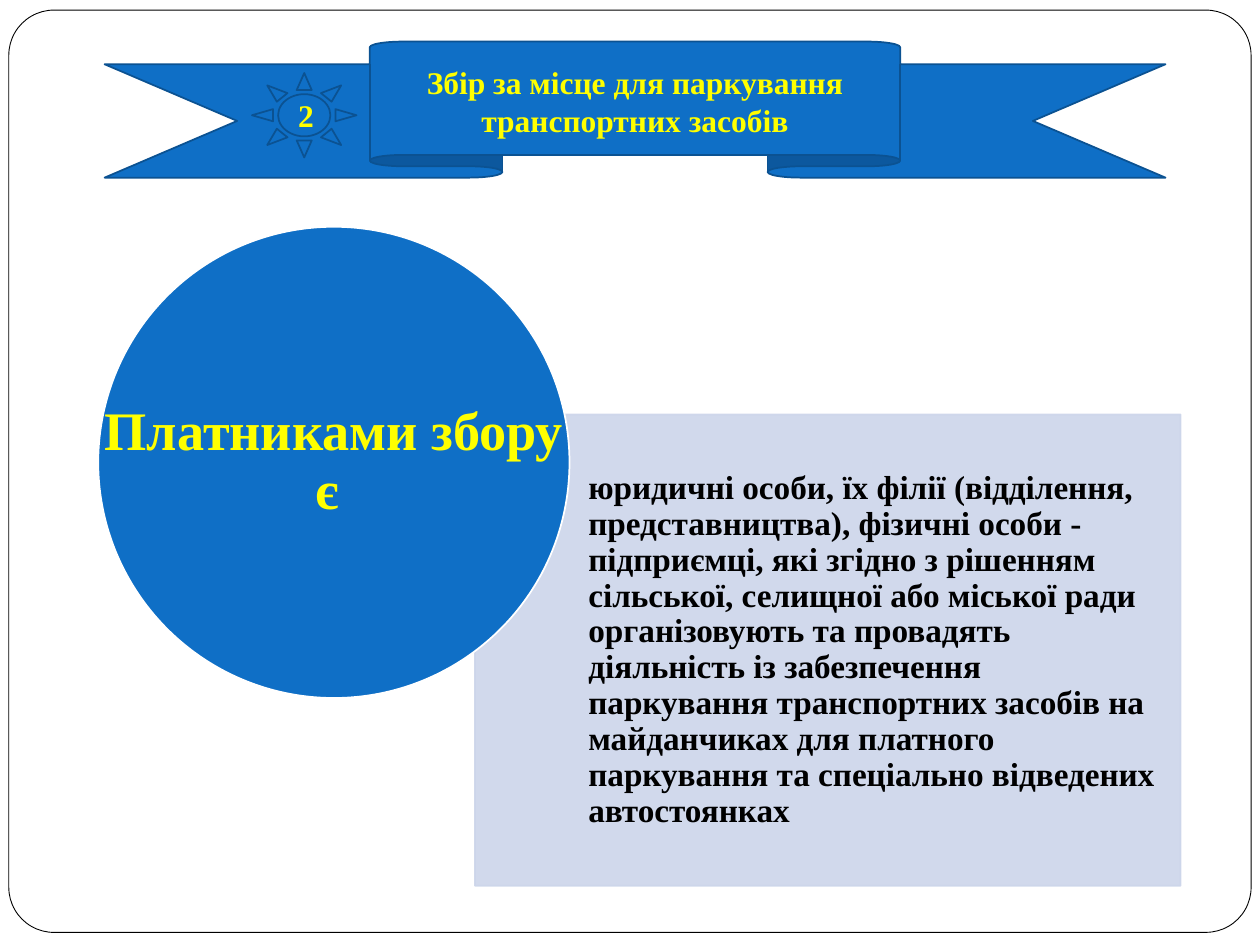
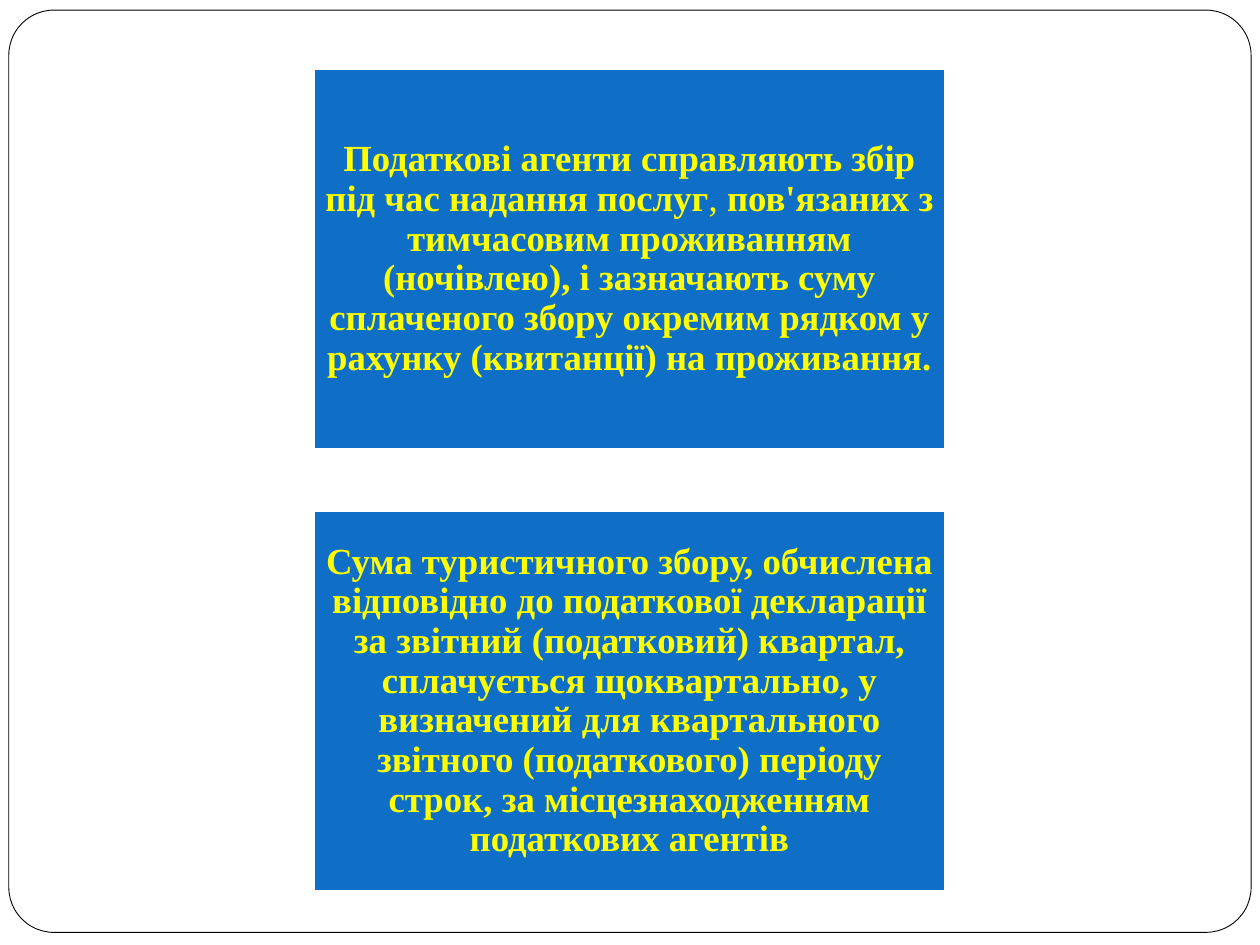
import pptx
import pptx.util
import pptx.dml.color
import pptx.enum.shapes
import pptx.enum.text
import pptx.oxml.ns
import lxml.etree

Inches = pptx.util.Inches
Shape = pptx.enum.shapes.MSO_SHAPE
Align = pptx.enum.text.PP_ALIGN

FONT = "Times New Roman"
BLUE, DARK_BLUE, PALE_BLUE = "0F6FC6", "0B5292", "CCD5EA"
YELLOW, BLACK, WHITE = "FFFF00", "000000", "FFFFFF"
TITLE_ONLY, BLANK = 5, 6

BANNER_TITLE = "Збір за місце для паркування транспортних засобів"
PAYERS_HEADING = "Платниками збору є "
PAYERS = (
    "юридичні особи, їх філії (відділення, представництва), фізичні особи - "
    "підприємці, які згідно з рішенням сільської, селищної або міської ради "
    "організовують та провадять діяльність із забезпечення паркування "
    "транспортних засобів на майданчиках для платного паркування та "
    "спеціально відведених автостоянках"
)
# Each rule is a list of (text, bold) runs
AGENT_RULES = [
    [("Податкові агенти справляють збір під час надання послуг", True),
     (", ", False),
     ("пов'язаних з тимчасовим проживанням (ночівлею), і зазначають суму "
      "сплаченого збору окремим рядком у рахунку (квитанції) на проживання.", True)],
    [("Сума туристичного збору, обчислена відповідно до податкової декларації "
      "за звітний (податковий) квартал, сплачується щоквартально, у визначений "
      "для квартального звітного (податкового) періоду строк, за "
      "місцезнаходженням податкових агентів", True)],
]


def rgb(hex_color):
    return pptx.dml.color.RGBColor.from_string(hex_color)


def add_figure(slide, kind, box, fill, line, line_width=1):
    figure = slide.shapes.add_shape(kind, *map(Inches, box))
    figure.shadow.inherit = False
    figure.fill.solid()
    figure.fill.fore_color.rgb = rgb(fill)
    figure.line.color.rgb = rgb(line)
    figure.line.width = pptx.util.Pt(line_width)
    return figure


def write(shape, runs, size, color=YELLOW, align=Align.CENTER, spacing=0.9, insets=None):
    """Put one middle-anchored paragraph of (text, bold) runs into a shape."""
    frame = shape.text_frame
    frame_format = {
        "word_wrap": True,
        "auto_size": pptx.enum.text.MSO_AUTO_SIZE.NONE,
        "vertical_anchor": pptx.enum.text.MSO_ANCHOR.MIDDLE,
    }
    if insets:
        sides = ("margin_left", "margin_top", "margin_right", "margin_bottom")
        frame_format.update(zip(sides, map(Inches, insets)))
    for name, value in frame_format.items():
        setattr(frame, name, value)
    paragraph = frame.paragraphs[0]
    paragraph.alignment = align
    paragraph.line_spacing = spacing
    for text, bold in runs:
        run = paragraph.add_run()
        run.text = text
        font_format = {"name": FONT, "size": pptx.util.Pt(size), "bold": bold}
        for name, value in font_format.items():
            setattr(run.font, name, value)
        run.font.color.rgb = rgb(color)


def set_opacity(shape, percent):
    """Make the fill and the line of a shape partly transparent."""
    qn = pptx.oxml.ns.qn
    for color in shape.element.spPr.iter(qn("a:srgbClr")):
        alpha = lxml.etree.SubElement(color, qn("a:alpha"))
        alpha.set("val", str(percent * 1000))


def add_master_frame(prs, slide):
    """Draw the rounded page frame and move it to the master, behind everything."""
    page_frame = add_figure(slide, Shape.ROUNDED_RECTANGLE,
                            (0.07, 0.08, 9.86, 7.32), WHITE, BLACK, 0.5)
    page_frame.adjustments[0] = 0.049
    page_frame.element.nvSpPr.cNvPr.set("id", "20")
    prs.slide_master.shapes.element.insert(2, page_frame.element)


def add_banner(slide, number, title):
    left, top, width, height = 0.83, 0.33, 8.42, 1.08
    add_figure(slide, Shape.UP_RIBBON, (left, top, width, height), BLUE, DARK_BLUE)

    # The title sits on the middle half of the ribbon
    heading = slide.shapes.title
    place = {"left": left + width / 4, "top": top + 0.02,
             "width": width / 2, "height": height * 5 / 6}
    for name, value in place.items():
        setattr(heading, name, Inches(value))
    write(heading, [(title, True)], 18, spacing=1)
    slide.shapes.element.append(heading.element)

    sun = add_figure(slide, Shape.SUN, (2, 0.58, 0.83, 0.67), BLUE, DARK_BLUE)
    write(sun, [(number, True)], 18, spacing=1)


def add_payers(slide):
    # The panel starts under the centre of the circle
    panel = add_figure(slide, Shape.RECTANGLE, (3.77, 3.29, 5.6, 3.74), PALE_BLUE, PALE_BLUE)
    set_opacity(panel, 90)
    write(panel, [(PAYERS, True)], 19, BLACK, Align.LEFT, insets=(0.9, 0.15, 0.15, 0.15))

    circle = (0.78, 1.8, 3.74, 3.74)
    add_figure(slide, Shape.OVAL, circle, BLUE, WHITE)
    payers_heading = slide.shapes.add_textbox(*map(Inches, circle))
    write(payers_heading, [(PAYERS_HEADING, True)], 31, insets=(0, 0, 0, 0))


def add_agent_rules(slide):
    top, height, gap = 0.55, 3.01, 0.5
    for row, runs in enumerate(AGENT_RULES):
        box = (2.49, top + row * (height + gap), 5.01, height)
        rule = add_figure(slide, Shape.RECTANGLE, box, BLUE, WHITE)
        write(rule, runs, 21, insets=(0.09,) * 4)


def main():
    prs = pptx.Presentation()
    prs.slide_width, prs.slide_height = Inches(10), Inches(7.5)

    # Slide 1: who pays the parking fee
    parking = prs.slides.add_slide(prs.slide_layouts[TITLE_ONLY])
    add_master_frame(prs, parking)
    add_payers(parking)
    add_banner(parking, "2", BANNER_TITLE)

    # Slide 2: how agents collect the tourist fee
    tourism = prs.slides.add_slide(prs.slide_layouts[BLANK])
    add_agent_rules(tourism)

    prs.save("out.pptx")


if __name__ == "__main__":
    main()
